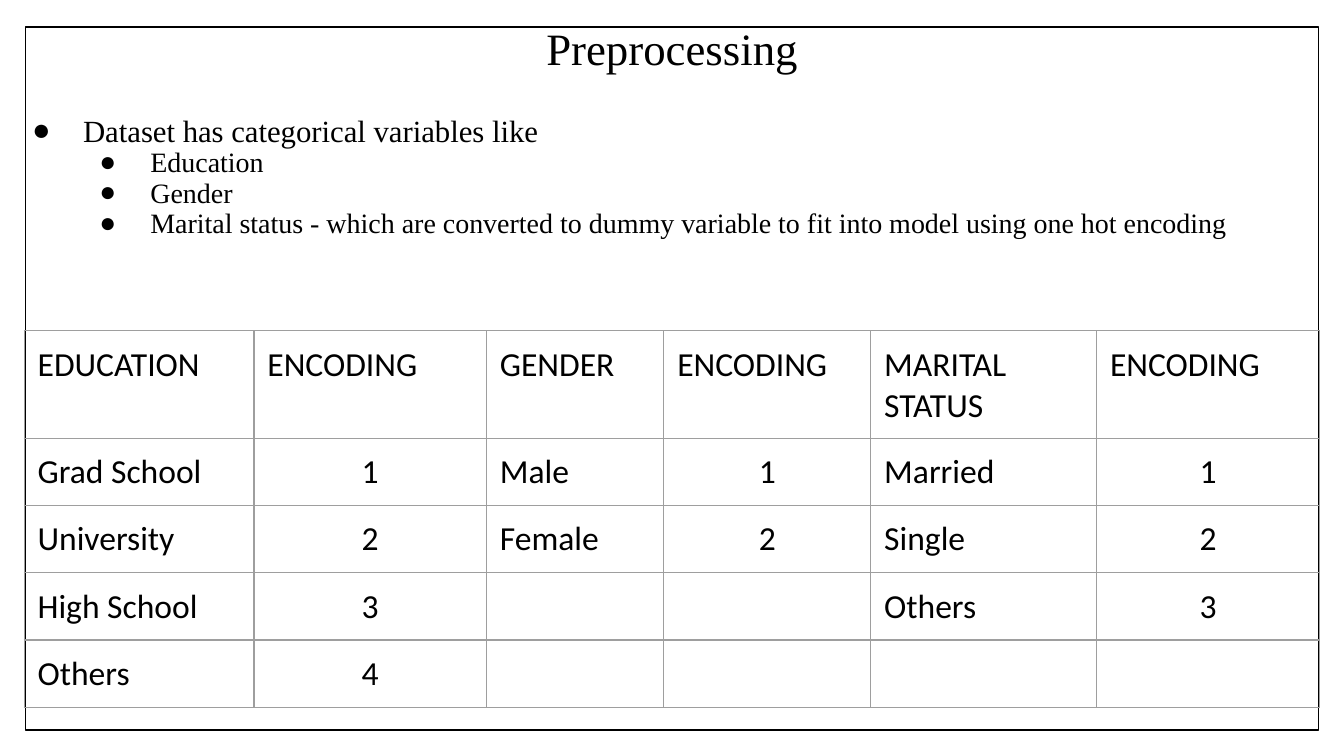
import pptx
import pptx.dml.color
import pptx.enum.shapes
import pptx.enum.text
import pptx.oxml
import pptx.oxml.ns
import pptx.util

Inches = pptx.util.Inches
Pt = pptx.util.Pt
ALIGN = pptx.enum.text.PP_ALIGN

HEADING = "Preprocessing"
POINTS = [
    (0, "Dataset has categorical variables like"),
    (1, "Education"),
    (1, "Gender"),
    (1, "Marital status - which are converted to dummy variable to fit into model using one hot encoding"),
]
ENCODINGS = {
    "EDUCATION": ["Grad School", "University", "High School", "Others"],
    "GENDER": ["Male", "Female"],
    "MARITAL STATUS": ["Married", "Single", "Others"],
}
COLORS = {"ink": "000000", "paper": "FFFFFF", "grid": "9E9E9E"}
SERIF, SANS = "Times New Roman", "Calibri"
POINT_SIZES = [16.5, 15]
WIDTH = 10
HEIGHT = WIDTH * 9 / 16
COLUMN_WIDTHS = [1.71, 1.73, 1.32, 1.54, 1.68, 1.66]
ROW_HEIGHTS = [0.44, 0.44, 0.48, 0.44, 0.44]
TABLE_HEIGHT = 2.46
PADDING = Inches(0.1)


def rgb(name):
    return pptx.dml.color.RGBColor.from_string(COLORS[name])


def style(paragraph, font_name, size):
    for run in paragraph.runs:
        run.font.name = font_name
        run.font.size = Pt(size)
        run.font.color.rgb = rgb("ink")


def pad(box):
    box.margin_left = box.margin_right = PADDING
    box.margin_top = box.margin_bottom = PADDING
    box.vertical_anchor = pptx.enum.text.MSO_ANCHOR.TOP


def add_xml(parent, tag, body, attributes=""):
    namespace = pptx.oxml.ns.nsdecls("a")
    parent.append(pptx.oxml.parse_xml(f"<a:{tag} {namespace} {attributes}>{body}</a:{tag}>"))


def color_xml(name):
    return f'<a:srgbClr val="{COLORS[name]}"/>'


def add_frame(slide):
    margin = 0.19
    frame = slide.shapes.add_shape(
        pptx.enum.shapes.MSO_SHAPE.RECTANGLE, Inches(margin), Inches(0.2),
        Inches(WIDTH - 2 * margin), Inches(5.23))
    frame.shadow.inherit = False
    frame.fill.solid()
    frame.fill.fore_color.rgb = rgb("paper")
    frame.line.color.rgb = rgb("ink")
    frame.line.width = Pt(1)
    slide.shapes.title.element.addprevious(frame.element)


def fill_title(title):
    title.left, title.top, title.width, title.height = map(Inches, (0.34, 0.1, 9.32, 0.66))
    title.text_frame.text = HEADING
    pad(title.text_frame)
    paragraph = title.text_frame.paragraphs[0]
    paragraph.alignment = ALIGN.CENTER
    paragraph.line_spacing = 0.9
    style(paragraph, SERIF, 24)


def add_points(slide):
    points = slide.shapes.add_textbox(*map(Inches, (0.02, 0.76, 9.98, 4.87))).text_frame
    points.word_wrap = True
    pad(points)
    points.text = "\n".join(text for _, text in POINTS)
    for paragraph, (level, _) in zip(points.paragraphs, POINTS):
        paragraph.level = level
        paragraph.line_spacing = 0.9
        style(paragraph, SERIF, POINT_SIZES[level])
        properties = paragraph._p.get_or_add_pPr()
        properties.set("marL", str(Inches(0.5 * (level + 1))))
        properties.set("indent", str(Inches(-0.38)))
        add_xml(properties, "buClr", color_xml("ink"))
        add_xml(properties, "buFont", "", f'typeface="{SERIF}"')
        add_xml(properties, "buChar", "", 'char="●"')


def fill_cell(cell, text):
    cell.text = text
    pad(cell)
    paragraph = cell.text_frame.paragraphs[0]
    paragraph.alignment = ALIGN.CENTER if text.isdigit() else ALIGN.LEFT
    style(paragraph, SANS, 18)
    properties = cell._tc.get_or_add_tcPr()
    for side in ("lnL", "lnR", "lnT", "lnB"):
        add_xml(properties, side, f"<a:solidFill>{color_xml('grid')}</a:solidFill>", f'w="{Pt(0.75)}"')
    cell.fill.background()


def add_encodings(slide):
    encodings = slide.shapes.add_table(
        len(ROW_HEIGHTS), len(COLUMN_WIDTHS), Inches(0.18), Inches(2.46),
        Inches(sum(COLUMN_WIDTHS)), Inches(TABLE_HEIGHT))
    table = encodings.table
    table.first_row = table.horz_banding = False
    for column, width in zip(table.columns, COLUMN_WIDTHS):
        column.width = Inches(width)
    for row, height in zip(table.rows, ROW_HEIGHTS):
        row.height = Inches(height)
    encodings.height = Inches(TABLE_HEIGHT)
    for group, (variable, categories) in enumerate(ENCODINGS.items()):
        codes = [str(code) for code in range(1, len(categories) + 1)]
        for offset, entries in enumerate(([variable, *categories], ["ENCODING", *codes])):
            for row in range(len(ROW_HEIGHTS)):
                text = entries[row] if row < len(entries) else ""
                fill_cell(table.cell(row, 2 * group + offset), text)


def main():
    deck = pptx.Presentation()
    deck.slide_width, deck.slide_height = Inches(WIDTH), Inches(HEIGHT)
    slide = deck.slides.add_slide(deck.slide_layouts.get_by_name("Title Only"))
    add_frame(slide)
    fill_title(slide.shapes.title)
    add_points(slide)
    add_encodings(slide)
    deck.save("out.pptx")


if __name__ == "__main__":
    main()
